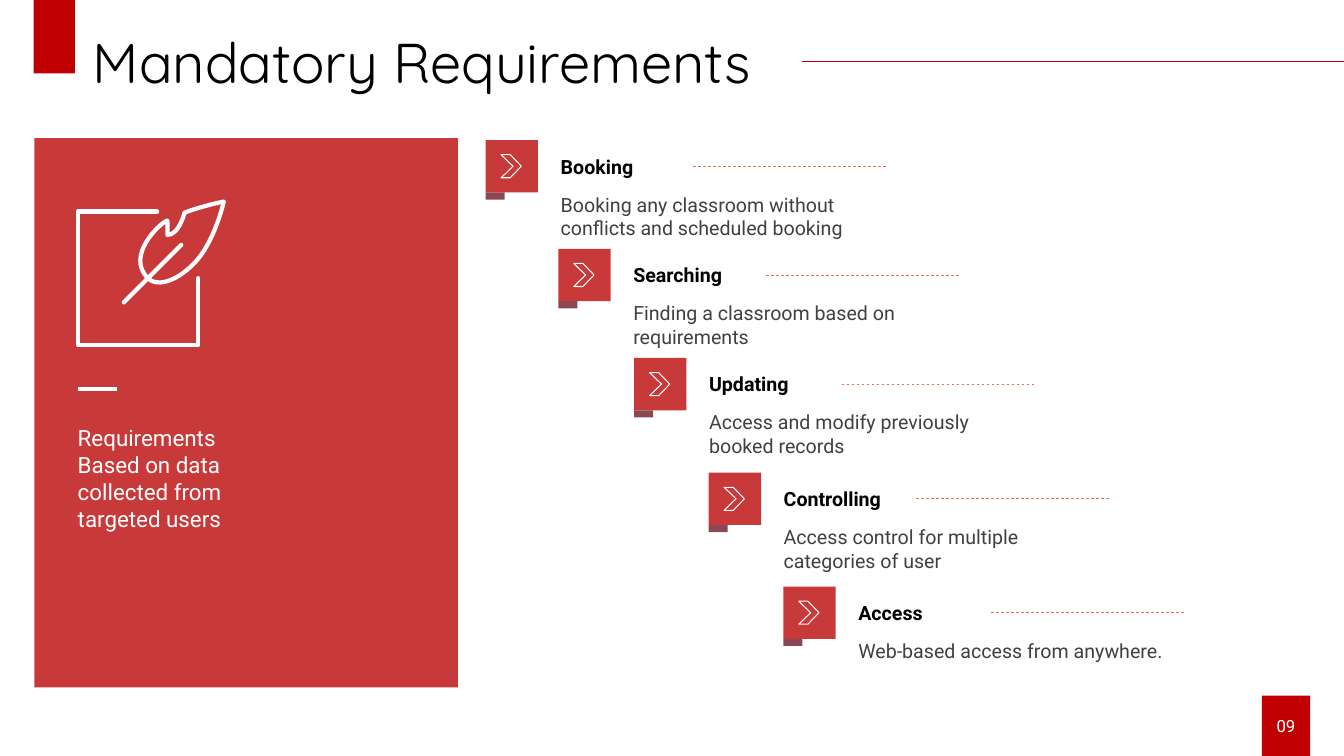
from lxml import etree
from pptx import Presentation
from pptx.dml.color import RGBColor
from pptx.enum.dml import MSO_LINE
from pptx.enum.shapes import MSO_CONNECTOR, MSO_SHAPE
from pptx.enum.text import MSO_ANCHOR, MSO_AUTO_SIZE, PP_ALIGN
from pptx.oxml.ns import qn
from pptx.util import Cm, Pt

RECTANGLE = MSO_SHAPE.RECTANGLE
STRAIGHT = MSO_CONNECTOR.STRAIGHT
DASH = MSO_LINE.DASH
TOP, MIDDLE = MSO_ANCHOR.TOP, MSO_ANCHOR.MIDDLE
LEFT, CENTER = PP_ALIGN.LEFT, PP_ALIGN.CENTER
GROW = MSO_AUTO_SIZE.SHAPE_TO_FIT_TEXT

TITLE_FONT, BODY_FONT = "Quicksand", "Roboto"
WHITE, BLACK, GREY = "FFFFFF", "000000", "404040"
RED, DEEP_RED, PLUM, CORAL = "C8393A", "C00000", "8B4752", "EA6C58"

SLIDE_WIDTH, SLIDE_HEIGHT = 33.87, 19.05
SQUARE = 1.32

# Left and top of each step in cm, then its heading and description
STEPS = [
    (12.24, 3.53, "Booking", "Booking any classroom without conflicts and scheduled booking"),
    (14.07, 6.27, "Searching", "Finding a classroom based on requirements"),
    (15.98, 9.02, "Updating", "Access and modify previously booked records"),
    (17.86, 11.91, "Controlling", "Access control for multiple categories of user"),
    (19.74, 14.78, "Access", "Web-based access from anywhere."),
]
CHEVRON = [(0, 0), (0.23, 0), (0.51, 0.29), (0.23, 0.58), (0, 0.58), (0.3, 0.29)]
SHEET = [(5, 7.01), (5, 8.69), (1.96, 8.69), (1.96, 5.33), (3.96, 5.33)]
# Start point, then two control points and an end point for each curve
FEATHER = [
    (4.22, 5.56),
    (4.04, 5.61), (3.15, 6.45), (3.73, 7.01),
    (3.91, 7.21), (4.37, 7.16), (4.88, 6.65),
    (5.41, 6.12), (5.64, 5.08), (5.64, 5.08),
    (5.64, 5.08), (5.13, 5.18), (4.65, 5.36),
    (4.65, 5.36), (4.52, 5.92), (4.22, 5.92),
    (4.22, 5.82), (4.22, 5.56), (4.22, 5.56),
]


def color(value):
    return RGBColor.from_string(value)


def write(frame, text, font=BODY_FONT, size=14, ink=BLACK, bold=False, align=LEFT,
          anchor=TOP, spacing=None, after=None, inset=0):
    frame.word_wrap = True
    frame.vertical_anchor = anchor
    frame.margin_left = frame.margin_right = Cm(inset)
    frame.margin_top = frame.margin_bottom = Cm(inset)
    para = frame.paragraphs[0]
    para.alignment = align
    if spacing:
        para.line_spacing = spacing
    if after:
        para.space_after = Pt(after)
    span = para.add_run()
    span.text = text
    span.font.name = font
    span.font.size = Pt(size)
    span.font.bold = bold
    span.font.color.rgb = color(ink)


def add_text(shapes, text, left, top, width, height, **style):
    box = shapes.add_textbox(Cm(left), Cm(top), Cm(width), Cm(height))
    write(box.text_frame, text, **style)
    box.text_frame.auto_size = GROW


def add_block(shapes, left, top, width, height, fill):
    block = shapes.add_shape(RECTANGLE, Cm(left), Cm(top), Cm(width), Cm(height))
    block.shadow.inherit = False
    block.fill.solid()
    block.fill.fore_color.rgb = color(fill)
    block.line.fill.background()
    return block


def style_line(shape, ink, weight, dash=None):
    shape.line.color.rgb = color(ink)
    shape.line.width = Pt(weight)
    if dash:
        shape.line.dash_style = dash


def round_ends(shape):
    line = shape._element.spPr.find(qn("a:ln"))
    line.set("cap", "rnd")
    etree.SubElement(line, qn("a:round"))


def add_line(shapes, start, end, ink, weight, dash=None):
    line = shapes.add_connector(STRAIGHT, *[Cm(length) for length in (*start, *end)])
    style_line(line, ink, weight, dash)
    etree.SubElement(line._element.spPr, qn("a:effectLst"))
    return line


def add_outline(shapes, points, weight, close=True):
    start, *others = [(Cm(x), Cm(y)) for x, y in points]
    builder = shapes.build_freeform(*start)
    builder.add_line_segments(others, close=close)
    outline = builder.convert_to_shape()
    outline.shadow.inherit = False
    outline.fill.background()
    style_line(outline, WHITE, weight)
    return outline


def bend(outline):
    """Turn every three straight segments into one cubic curve."""
    segments = list(outline._element.iter(qn("a:lnTo")))
    for first in range(0, len(segments), 3):
        curve = etree.Element(qn("a:cubicBezTo"))
        segments[first].addprevious(curve)
        for segment in segments[first:first + 3]:
            curve.append(segment[0])
            segment.getparent().remove(segment)


def add_title(page, text):
    title = page.shapes.title
    title.left, title.top, title.width, title.height = Cm(2.34), Cm(0.89), Cm(29.21), Cm(1.55)
    write(title.text_frame, text, font=TITLE_FONT, size=40, spacing=0.9)
    title.text_frame.auto_size = GROW


def add_writing_icon(shapes):
    icon = shapes.add_group_shape().shapes
    sheet = add_outline(icon, SHEET, 3, close=False)
    quill = add_line(icon, (3.12, 7.62), (4.57, 6.17), WHITE, 3)
    feather = add_outline(icon, FEATHER, 3)
    bend(feather)
    for part in (sheet, quill, feather):
        round_ends(part)


def add_panel(shapes):
    add_block(shapes, 0.87, 3.48, 10.67, 13.84, RED)
    add_writing_icon(shapes)
    add_line(shapes, (1.96, 9.8), (2.95, 9.8), WHITE, 2.5)
    add_text(shapes, "Requirements Based on data collected from targeted users",
             1.96, 10.69, 4.62, 2.74, size=16, ink=WHITE, after=12)


def add_step(shapes, left, top, heading, description):
    add_block(shapes, left, top, SQUARE, SQUARE, RED)
    add_block(shapes, left, top + SQUARE, 0.48, 0.18, PLUM)
    add_outline(shapes, [(left + 0.39 + x, top + 0.37 + y) for x, y in CHEVRON], 0.75)
    text_left, middle = left + 1.89, top + SQUARE / 2
    add_text(shapes, heading, text_left, top + 0.36, 3.33, 0.6, bold=True, anchor=MIDDLE)
    add_text(shapes, description, text_left, top + SQUARE, 7.75, 1.19, ink=GREY, after=12)
    add_line(shapes, (left + 5.23, middle), (left + 10.12, middle), CORAL, 0.5, DASH)


def main():
    deck = Presentation()
    deck.slide_width, deck.slide_height = Cm(SLIDE_WIDTH), Cm(SLIDE_HEIGHT)
    page = deck.slides.add_slide(deck.slide_layouts[5])
    shapes = page.shapes

    add_title(page, "Mandatory Requirements")
    add_block(shapes, 0.85, 0, 1.04, 1.85, DEEP_RED)
    add_line(shapes, (20.2, 1.55), (SLIDE_WIDTH, 1.55), DEEP_RED, 0.5)
    add_panel(shapes)
    for step in STEPS:
        add_step(shapes, *step)
    number = add_block(shapes, 31.8, 17.53, 1.22, 1.52, DEEP_RED)
    write(number.text_frame, "09", size=12, ink=WHITE, align=CENTER, anchor=MIDDLE, inset=0.13)

    deck.save("out.pptx")


if __name__ == "__main__":
    main()
